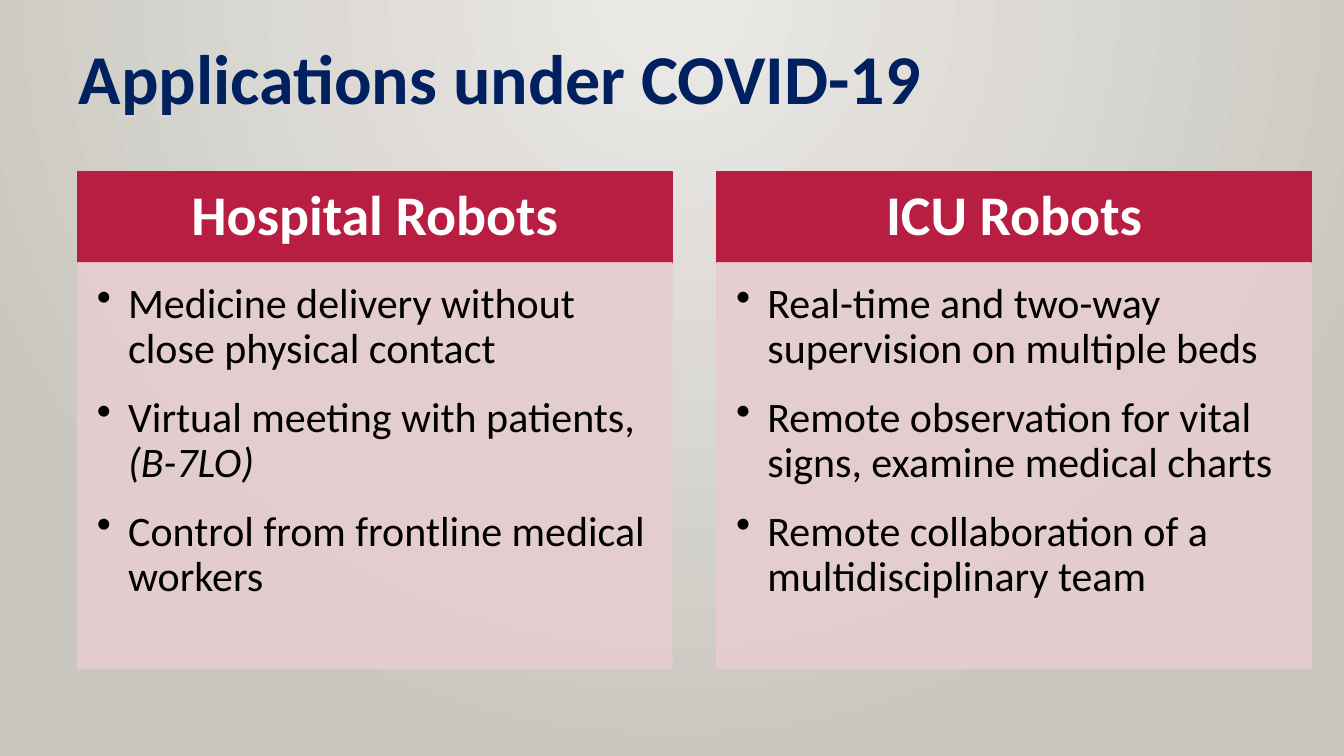
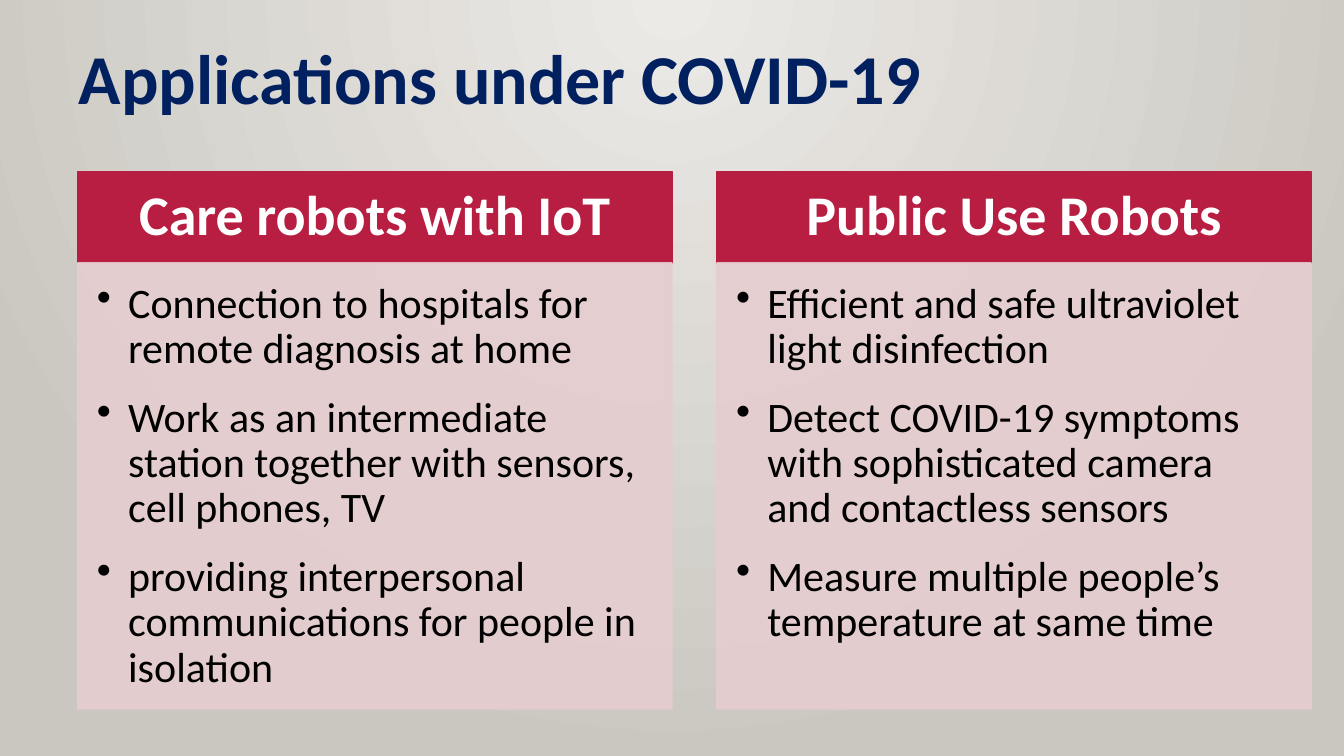
from dataclasses import dataclass

from lxml import etree
from pptx import Presentation
from pptx.dml.color import RGBColor
from pptx.enum import shapes, text
from pptx.oxml.ns import qn
from pptx.util import Cm, Pt

TITLE = "Applications under COVID-19"

# Each point is a tuple: plain text, then an optional italic ending.
SLIDES = [
    {"depth": 10.21, "cards": [
        ("Hospital Robots", [
            ("Medicine delivery without close physical contact",),
            ("Virtual meeting with patients, ", "(B-7LO)"),
            ("Control from frontline medical workers",)]),
        ("ICU Robots", [
            ("Real-time and two-way supervision on multiple beds",),
            ("Remote observation for vital signs, examine medical charts",),
            ("Remote collaboration of a multidisciplinary team",)]),
    ]},
    {"depth": 11.23, "cards": [
        ("Care robots with IoT", [
            ("Connection to hospitals for remote diagnosis at home",),
            ("Work as an intermediate station together with sensors, cell phones, TV",),
            ("providing interpersonal communications for people in isolation",)]),
        ("Public Use Robots", [
            ("Efficient and safe ultraviolet light disinfection",),
            ("Detect COVID-19 symptoms with sophisticated camera and contactless sensors",),
            ("Measure multiple people’s temperature at same time",)]),
    ]},
]

LEFT, TOP, WIDTH, HEAD, PITCH = 1.96, 4.32, 14.97, 2.31, 16.11


@dataclass(frozen=True)
class Theme:
    font: str = "Calibri"
    navy: str = "002060"
    red: str = "B71E42"
    pink: str = "E6CDCF"
    white: str = "FFFFFF"
    black: str = "000000"
    glow: str = "ECEAE7"
    edge: str = "CAC7C1"
    title: float = 50
    head: float = 40
    body: float = 30
    line: float = 1.25
    gap: float = 16.5


THEME = Theme()


def rgb(code):
    return RGBColor.from_string(code)


def style(run, size, color, bold=False, italic=False):
    font = run.font
    font.name, font.size = THEME.font, Pt(size)
    font.bold, font.italic = bold, italic
    font.color.rgb = rgb(color)


def paint_back(master):
    """Give every slide a round glow from the middle of the top edge."""
    fill = master.background.fill
    fill.gradient()
    for stop, color in zip(fill.gradient_stops, (THEME.glow, THEME.edge)):
        stop.color.rgb = rgb(color)
    grad = master.element.find(".//" + qn("a:gradFill"))
    grad.remove(grad.find(qn("a:lin")))
    ring = etree.SubElement(grad, qn("a:path"))
    ring.set("path", "circle")
    rect = etree.SubElement(ring, qn("a:fillToRect"))
    for side, share in (("l", "50000"), ("t", "0"), ("r", "50000"), ("b", "100000")):
        rect.set(side, share)


def add_title(slide):
    title = slide.shapes.title
    title.left, title.top, title.width, title.height = Cm(1.73), Cm(0.74), Cm(21.97), Cm(2.39)
    frame = title.text_frame
    frame.text = TITLE
    frame.auto_size = text.MSO_AUTO_SIZE.NONE
    frame.word_wrap = False
    para = frame.paragraphs[0]
    para.alignment = text.PP_ALIGN.LEFT
    style(para.runs[0], THEME.title, THEME.navy, bold=True)


def add_box(slide, place, color, pads, anchor):
    """Draw a plain rectangle and return it ready for text."""
    box = slide.shapes.add_shape(shapes.MSO_SHAPE.RECTANGLE, *map(Cm, place))
    box.shadow.inherit = False
    box.fill.solid()
    box.fill.fore_color.rgb = rgb(color)
    box.line.color.rgb = rgb(color)
    box.line.width = Pt(THEME.line)
    frame = box.text_frame
    frame.word_wrap = True
    frame.vertical_anchor = anchor
    (frame.margin_left, frame.margin_top,
     frame.margin_right, frame.margin_bottom) = map(Cm, pads)
    return box


def fade(box, share):
    """Set the opacity of fill and line, in percent."""
    for color in box.element.spPr.iter(qn("a:srgbClr")):
        etree.SubElement(color, qn("a:alpha")).set("val", str(share * 1000))


def add_point(para, parts):
    para.alignment = text.PP_ALIGN.LEFT
    para.line_spacing = 0.9
    para.space_after = Pt(THEME.gap)
    props = para._p.get_or_add_pPr()
    props.set("marL", str(Cm(0.79)))
    props.set("indent", str(-Cm(0.79)))
    etree.SubElement(props, qn("a:buChar")).set("char", "•")
    for spot, part in enumerate(parts):
        run = para.add_run()
        run.text = part
        style(run, THEME.body, THEME.black, italic=spot > 0)


def add_card(slide, left, depth, head, points):
    bar = add_box(slide, (left, TOP, WIDTH, HEAD), THEME.red,
                  (0.58, 0.33, 0.58, 0.33), text.MSO_ANCHOR.MIDDLE)
    bar.text_frame.text = head
    para = bar.text_frame.paragraphs[0]
    para.alignment = text.PP_ALIGN.CENTER
    para.line_spacing = 0.9
    style(para.runs[0], THEME.head, THEME.white, bold=True)

    body = add_box(slide, (left, TOP + HEAD, WIDTH, depth), THEME.pink,
                   (0.48, 0.48, 0.64, 0.71), text.MSO_ANCHOR.TOP)
    fade(body, 90)
    frame = body.text_frame
    for spot, parts in enumerate(points):
        add_point(frame.add_paragraph() if spot else frame.paragraphs[0], parts)


def main():
    deck = Presentation()
    deck.slide_width, deck.slide_height = Cm(33.87), Cm(19.05)
    paint_back(deck.slide_master)
    layout = deck.slide_layouts.get_by_name("Title Only")
    for page in SLIDES:
        slide = deck.slides.add_slide(layout)
        add_title(slide)
        for col, (head, points) in enumerate(page["cards"]):
            add_card(slide, LEFT + col * PITCH, page["depth"], head, points)
    deck.save("out.pptx")


if __name__ == "__main__":
    main()
